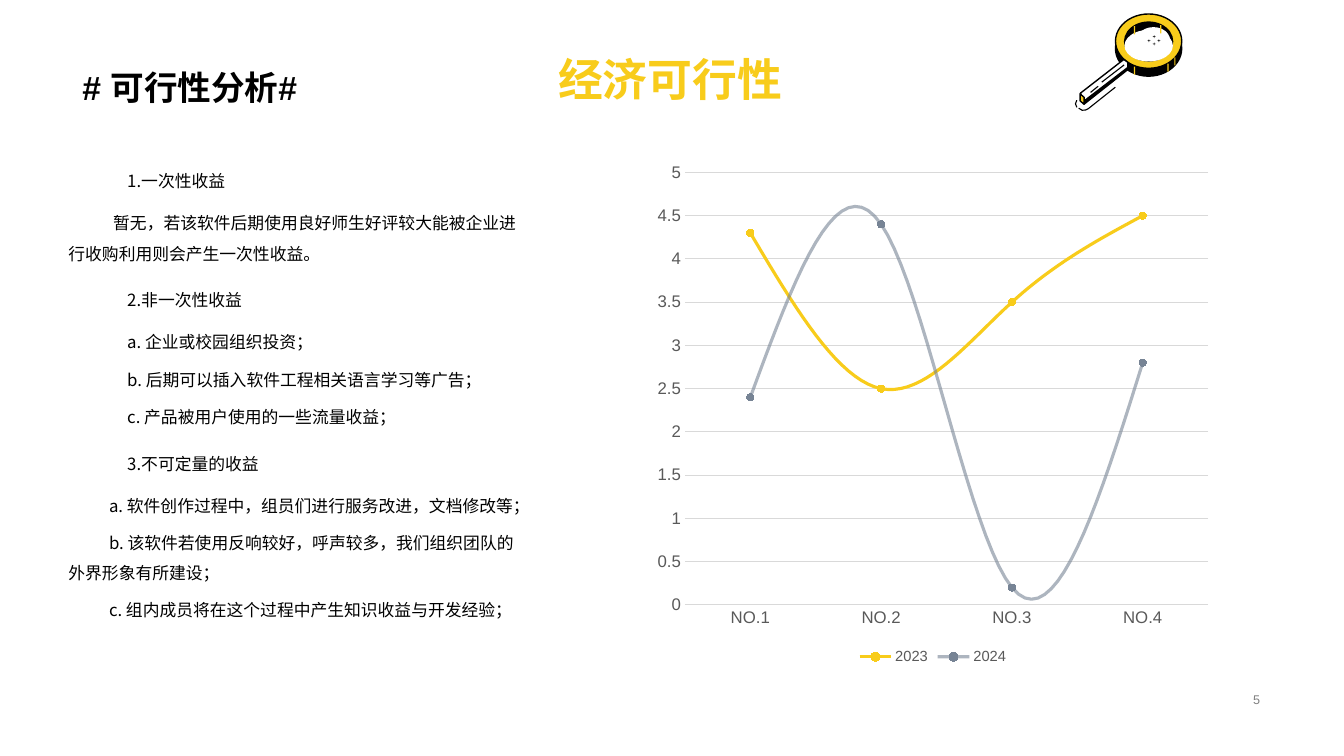
import pptx
import pptx.chart.data
import pptx.dml.color
import pptx.enum.chart
import pptx.enum.shapes
import pptx.enum.text
import pptx.oxml
import pptx.oxml.ns
import pptx.util

Pt = pptx.util.Pt
ALIGN = pptx.enum.text.PP_ALIGN
ANCHOR = pptx.enum.text.MSO_ANCHOR
SHAPE = pptx.enum.shapes.MSO_SHAPE
CHART = pptx.enum.chart
CJK = "Noto Sans CJK SC"
BLACK, WHITE, YELLOW = "000000", "FFFFFF", "F8CC1B"
GRAY, GRID, SLATE = "595959", "D9D9D9", "778495"

# Style: (left margin, first indent, line spacing, space around)
HEAD = (21, 21, 1.73, 6)
ITEM = (21, 21, 1.5, 2.5)
WRAP = (0, 32, 1.5, 2.5)
NOTE = (0, 29, 1.5, 2.5)
BODY = [
    (HEAD, "1.一次性收益"),
    (WRAP, "暂无，若该软件后期使用良好师生好评较大能被企业进行收购利用则会产生一次性收益。"),
    (HEAD, "2.非一次性收益"),
    (ITEM, "a. 企业或校园组织投资；"),
    (ITEM, "b. 后期可以插入软件工程相关语言学习等广告；"),
    (ITEM, "c. 产品被用户使用的一些流量收益；"),
    (HEAD, "3.不可定量的收益"),
    (NOTE, "a. 软件创作过程中，组员们进行服务改进，文档修改等；"),
    (NOTE, "b. 该软件若使用反响较好，呼声较多，我们组织团队的外界形象有所建设；"),
    (NOTE, "c. 组内成员将在这个过程中产生知识收益与开发经验；"),
]


def rgb(code):
    return pptx.dml.color.RGBColor.from_string(code)


def set_font(font, size, color, face="Arial", bold=False):
    font.size, font.name, font.bold = Pt(size), face, bold
    font.color.rgb = rgb(color)


def add_para(frame, text, first, size, color, face="Arial", bold=False):
    para = frame.paragraphs[0] if first else frame.add_paragraph()
    para.text = text
    set_font(para.font, size, color, face, bold)
    # East Asian face
    props = para._p.pPr.find(pptx.oxml.ns.qn("a:defRPr"))
    east = pptx.oxml.parse_xml(f'<a:ea {pptx.oxml.ns.nsdecls("a")} typeface="{CJK}"/>')
    props.append(east)
    return para


def add_box(slide, box, anchor):
    frame = slide.shapes.add_textbox(*map(Pt, box)).text_frame
    frame.word_wrap = True
    frame.vertical_anchor = anchor
    return frame


def add_label(slide, box, text, size, color, anchor, align, bold=True):
    frame = add_box(slide, box, anchor)
    para = add_para(frame, text, True, size, color, bold=bold)
    para.alignment = align
    return para


def add_body(slide):
    frame = add_box(slide, (41.8, 108, 342.7, 346.3), ANCHOR.TOP)
    for num, (style, text) in enumerate(BODY):
        para = add_para(frame, text, num == 0, 12, BLACK, CJK)
        left, indent, para.line_spacing, gap = style
        para.space_before = para.space_after = Pt(gap)
        props = para._p.pPr
        props.set("marL", str(Pt(left)))
        props.set("indent", str(Pt(indent)))


def paint(shape, fill=None, line=None, width=1):
    shape.shadow.inherit = False
    if fill:
        shape.fill.solid()
        shape.fill.fore_color.rgb = rgb(fill)
    else:
        shape.fill.background()
    if line:
        shape.line.color.rgb = rgb(line)
        shape.line.width = Pt(width)
    else:
        shape.line.fill.background()


def add_form(group, kind, box, fill, line=None):
    paint(group.shapes.add_shape(kind, *map(Pt, box)), fill, line)


def add_path(group, points, fill=None, line=None, width=1):
    spots = [(Pt(x), Pt(y)) for x, y in points]
    maker = group.shapes.build_freeform(*spots[0])
    maker.add_line_segments(spots[1:], close=fill is not None)
    paint(maker.convert_to_shape(), fill, line, width)


def add_lens(slide):
    group = slide.shapes.add_group_shape()
    # Ring and glass
    add_form(group, SHAPE.OVAL, (796.3, 14.4, 48.3, 40.5), BLACK)
    add_form(group, SHAPE.OVAL, (796.8, 10, 47.3, 38.8), YELLOW, BLACK)
    add_form(group, SHAPE.OVAL, (802.8, 15.3, 35.3, 28.7), BLACK)
    add_form(group, SHAPE.OVAL, (803.2, 21.4, 34.6, 22.5), WHITE)
    add_form(group, SHAPE.OVAL, (812, 19.4, 23.8, 18.7), WHITE)
    # Rim ticks
    for x, y in [(810, 47.5), (838.8, 41), (833.8, 45.4), (810, 18.7), (828.7, 18)]:
        add_form(group, SHAPE.RECTANGLE, (x, y, 0.9, 5.8), YELLOW)
    # Handle
    add_path(group, [(771.8, 66.6), (802.8, 42.5), (805.7, 44.6), (805.7, 49.7),
                     (774.7, 74.2)], WHITE, BLACK)
    add_path(group, [(805.7, 47.5), (805.7, 49.7), (774.7, 74.2), (774.7, 71.3)], BLACK)
    add_path(group, [(771.5, 67), (774.4, 69.5), (774.4, 74.5), (771.5, 72)],
             YELLOW, BLACK)
    # Thin strokes on and around the handle
    for points in [
        [(787, 58.7), (803, 46.4)],
        [(779, 66), (784.4, 61.6)],
        [(770.5, 77.3), (773, 78.8), (775.5, 78.6), (777.6, 77.5), (796.7, 62.3)],
        [(769.2, 76.7), (768.2, 74.2), (769.2, 71.6)],
    ]:
        add_path(group, points, line=BLACK, width=0.8)
    # Sparkles
    for x, y in [(823.2, 30.2), (826.6, 27.9), (819.5, 27.9), (823.2, 25)]:
        add_form(group, SHAPE.STAR_4_POINT, (x, y, 2.4, 2.4), BLACK)


def add_graph(slide):
    data = pptx.chart.data.CategoryChartData()
    data.categories = ["NO.1", "NO.2", "NO.3", "NO.4"]
    data.add_series("2023", (4.3, 2.5, 3.5, 4.5))
    data.add_series("2024", (2.4, 4.4, 0.2, 2.8))
    box = map(Pt, (461.5, 109.4, 409.7, 368.6))
    chart = slide.shapes.add_chart(CHART.XL_CHART_TYPE.LINE_MARKERS, *box, data).chart
    set_font(chart.font, 10, BLACK)
    chart.has_title = False
    chart.has_legend = True
    chart.legend.position = CHART.XL_LEGEND_POSITION.BOTTOM
    chart.legend.include_in_layout = False
    set_font(chart.legend.font, 10.5, GRAY)

    # Axes
    cats, vals = chart.category_axis, chart.value_axis
    for axis in (cats, vals):
        axis.major_tick_mark = axis.minor_tick_mark = CHART.XL_TICK_MARK.NONE
        set_font(axis.tick_labels.font, 12, GRAY)
    vals.minimum_scale, vals.maximum_scale, vals.major_unit = 0, 5, 0.5
    vals.has_major_gridlines = True
    vals.format.line.fill.background()
    for line in (cats.format.line, vals.major_gridlines.format.line):
        line.color.rgb = rgb(GRID)
        line.width = Pt(0.75)

    # Series
    chart.plots[0].vary_by_categories = False
    for row, color in zip(chart.plots[0].series, (YELLOW, SLATE)):
        row.smooth = True
        row.format.line.color.rgb = rgb(color)
        row.format.line.width = Pt(2.25)
        row.marker.style = CHART.XL_MARKER_STYLE.CIRCLE
        row.marker.size = 5
        row.marker.format.fill.solid()
        row.marker.format.fill.fore_color.rgb = rgb(color)
        row.marker.format.line.fill.background()
    # Sheer line for the last series
    tint = row.format.line._ln.find(".//" + pptx.oxml.ns.qn("a:srgbClr"))
    tint.append(pptx.oxml.parse_xml(
        f'<a:alpha {pptx.oxml.ns.nsdecls("a")} val="60000"/>'))


def main():
    deck = pptx.Presentation()
    deck.slide_width, deck.slide_height = Pt(960), Pt(540)
    slide = deck.slides.add_slide(deck.slide_layouts[6])
    # Headings
    add_label(slide, (51.8, 33.1, 853.9, 46.1), "经济可行性", 32, YELLOW,
              ANCHOR.MIDDLE, ALIGN.CENTER)
    title = add_label(slide, (51.8, 0, 855.4, 80.6), "# 可行性分析#", 24, BLACK,
                      ANCHOR.BOTTOM, ALIGN.LEFT)
    title.line_spacing = 0.9
    add_lens(slide)
    # Page number
    add_label(slide, (706.3, 491, 200.9, 16.6), "5", 9, "808080",
              ANCHOR.MIDDLE, ALIGN.RIGHT, bold=False)
    add_graph(slide)
    add_body(slide)
    deck.save("out.pptx")


if __name__ == "__main__":
    main()
